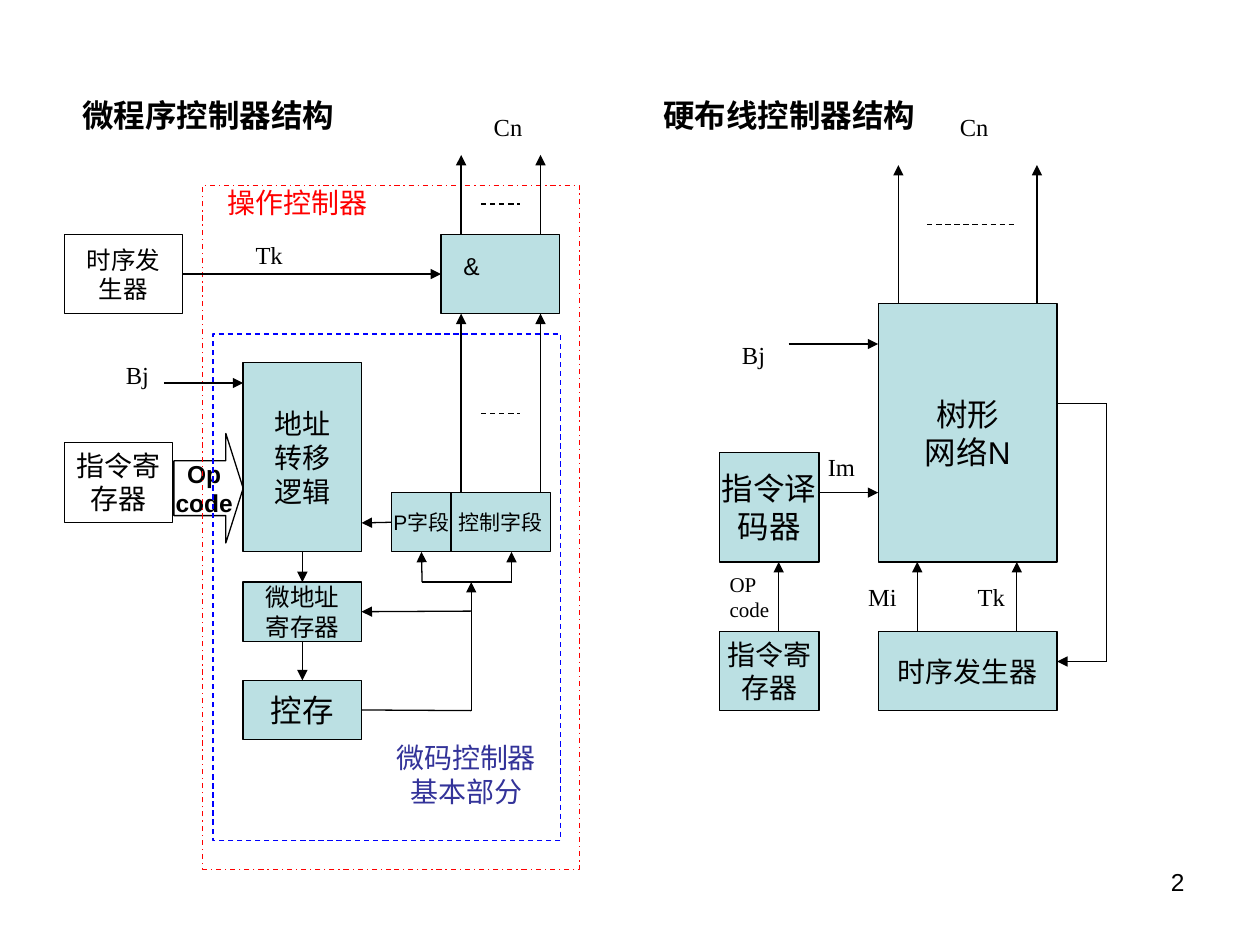
from pptx import Presentation
from pptx.dml.color import RGBColor as Rgb
from pptx.enum.dml import MSO_LINE as Dash
from pptx.enum.shapes import MSO_CONNECTOR as Conn, MSO_SHAPE as Kind
from pptx.enum.text import MSO_ANCHOR as Anchor, MSO_AUTO_SIZE as Auto, PP_ALIGN as Align
from pptx.oxml.ns import qn
from pptx.util import Inches, Pt
from lxml import etree

COLORS = {"ink": "000000", "teal": "BBE0E3", "white": "FFFFFF",
          "red": "FF0000", "blue": "0000FF", "navy": "333399"}
TOP, LEFT, BOTTOM, RIGHT = range(4)
SERIF = "Times New Roman"
FLUSH = (0, 0)
PAD = (0.1, 0.05)


def color(name):
    return Rgb.from_string(COLORS[name])


def put(item, values):
    for key, value in values.items():
        setattr(item, key, value)


class Diagram:
    def __init__(self, deck):
        self.slide = deck.slides.add_slide(deck.slide_layouts[6])
        self.shapes = self.slide.shapes
        self.font = "Arial"
        self.width = Pt(0.75)

    def stroke(self, line, tint="ink", dash=None):
        line.color.rgb = color(tint)
        line.width = self.width
        if dash:
            line.dash_style = dash

    def words(self, shape, text, size, tint="ink", font=None, bold=False,
              align=Align.CENTER, pad=PAD, frame=None, para=None):
        body = shape.text_frame
        side, edge = (Inches(v) for v in pad)
        put(body, {"margin_left": side, "margin_right": side,
                   "margin_top": edge, "margin_bottom": edge, **(frame or {})})
        for i, row in enumerate(text.split("\n")):
            item = body.paragraphs[0] if i == 0 else body.add_paragraph()
            put(item, {"alignment": align, **(para or {})})
            if i == 0:
                item.space_before = Pt(0)
            run = item.add_run()
            run.text = row
            put(run.font, {"size": Pt(size), "name": font or self.font, "bold": bold})
            run.font.color.rgb = color(tint)

    def box(self, at, text="", size=14, fill="teal", kind=Kind.RECTANGLE,
            tint="ink", dash=None, wrap=False, anchor=Anchor.MIDDLE, **style):
        shape = self.shapes.add_shape(kind, *(Inches(v) for v in at))
        shape.shadow.inherit = False
        if fill:
            shape.fill.solid()
            shape.fill.fore_color.rgb = color(fill)
        else:
            shape.fill.background()
        self.stroke(shape.line, tint, dash)
        if text:
            frame = {"word_wrap": wrap, "vertical_anchor": anchor}
            self.words(shape, text, size, frame=frame, **style)
        return shape

    def label(self, at, text, size=14, grow=True, **style):
        shape = self.shapes.add_textbox(*(Inches(v) for v in at))
        frame = {"word_wrap": True, "vertical_anchor": Anchor.TOP,
                 "auto_size": Auto.SHAPE_TO_FIT_TEXT if grow else Auto.NONE}
        self.words(shape, text, size, frame=frame, **style)

    def line(self, start, end, arrow=True, dash=None):
        """Each end is an (x, y) point or a (box, side) pair."""
        ends = [(0, 0) if hasattr(p[0], "text_frame") else p for p in (start, end)]
        link = self.shapes.add_connector(
            Conn.STRAIGHT, *(Inches(v) for p in ends for v in p))
        for point, join in ((start, link.begin_connect), (end, link.end_connect)):
            if hasattr(point[0], "text_frame"):
                join(*point)
        self.stroke(link.line, dash=dash)
        props = link._element.spPr
        if arrow:
            etree.SubElement(props.find(qn("a:ln")), qn("a:tailEnd"), type="triangle")
        etree.SubElement(props, qn("a:effectLst"))


def micro(d):
    """Microprogrammed controller, left half."""
    # Boxes
    d.box((0.51, 3.51, 0.86, 0.64), "指令寄存器", 16, None, wrap=True,
          anchor=Anchor.TOP, pad=(0.04, 0.05))
    code = d.box((1.38, 3.44, 0.55, 0.87), "Op\ncode", 14, "white",
                 Kind.RIGHT_ARROW, bold=True)
    code.adjustments[0], code.adjustments[1] = 0.5, 0.25
    logic = d.box((1.93, 2.88, 0.94, 1.5), "地址\n转移\n逻辑", 16)
    addr = d.box((1.93, 4.62, 0.94, 0.47), "微地址\n寄存器")
    store = d.box((1.93, 5.4, 0.94, 0.47), "控存", 18)
    field = d.box((3.11, 3.91, 0.47, 0.47), "P字段", 12)
    d.box((3.58, 3.91, 0.79, 0.47), "控制字段", 12)
    clock = d.box((0.51, 1.86, 0.94, 0.63), "时序发\n生器", 14, None)
    d.box((1.69, 2.65, 2.76, 4.02), fill=None, tint="blue", dash=Dash.DASH)
    gate = d.box((3.5, 1.86, 0.94, 0.63))
    d.box((1.61, 1.47, 2.99, 5.43), fill=None, tint="red", dash=Dash.DASH_DOT)

    # Address flow
    d.line((1.3, 3.04), (1.93, 3.04))
    d.line((field, LEFT), (2.87, 4.15))
    d.line((logic, BOTTOM), (addr, TOP))
    d.line((addr, BOTTOM), (store, TOP))
    d.line((store, RIGHT), (3.74, 5.64), arrow=False)
    d.line((3.74, 5.64), (3.74, 4.62))
    d.line((3.74, 4.85), (addr, RIGHT))
    d.line((3.35, 4.62), (4.06, 4.62), arrow=False)
    d.line((3.35, 4.62), (field, BOTTOM))
    d.line((4.06, 4.62), (4.06, 4.38))

    # Control outputs
    d.line((clock, RIGHT), (gate, LEFT))
    for x in (3.66, 4.29):
        d.line((x, 3.91), (x, 2.49))
        d.line((x, 1.86), (x, 1.23))
    for x, y in ((3.82, 3.28), (3.82, 1.62), (4.06, 1.86)):
        d.line((x, y), (x + 0.31, y), arrow=False, dash=Dash.DASH)

    # Labels
    d.label((3.11, 5.88, 1.18, 0.53), "微码控制器基本部分", 16, tint="navy", pad=FLUSH)
    d.label((1.69, 1.47, 1.34, 0.27), "操作控制器", 16, tint="red", pad=FLUSH)
    d.label((3.58, 1.94, 0.24, 0.34), "&", align=Align.LEFT)


def wired(d):
    """Hardwired controller, right half."""
    # Boxes
    d.box((6.97, 2.41, 1.42, 2.05), "树形\n网络N", 18)
    d.box((5.71, 3.59, 0.79, 0.87), "指令译\n码器", 18)
    d.box((5.71, 5.01, 0.79, 0.63), "指令寄\n存器", 16)
    d.box((6.97, 5.01, 1.42, 0.63), "时序发生器", 16)

    # Inputs, outputs and feedback
    for x in (6.18, 7.28, 8.07):
        d.line((x, 5.01), (x, 4.46))
    for x in (7.13, 8.23):
        d.line((x, 2.41), (x, 1.31))
    d.line((6.26, 2.73), (6.97, 2.73))
    d.line((6.5, 3.91), (6.97, 3.91))
    d.line((8.39, 3.2), (8.78, 3.2), arrow=False)
    d.line((8.78, 3.2), (8.78, 5.25), arrow=False)
    d.line((8.78, 5.25), (8.39, 5.25))
    d.line((7.36, 1.78), (8.07, 1.78), arrow=False, dash=Dash.DASH)

    # Labels
    for x, y, text in ((6.57, 3.59, "Im"), (6.89, 4.62, "Mi"), (7.76, 4.62, "Tk")):
        d.label((x, y, 0.24, 0.23), text, font=SERIF, align=Align.LEFT, pad=FLUSH)
    d.label((5.79, 4.62, 0.32, 0.3), "OP\ncode", 12, font=SERIF, align=Align.LEFT,
            pad=FLUSH, para={"line_spacing": 0.5, "space_before": Pt(7.5)})


def main():
    deck = Presentation()
    deck.slide_width, deck.slide_height = Inches(10), Inches(7.5)
    d = Diagram(deck)
    micro(d)
    wired(d)

    # Signal names, titles and page number
    for x, y, wide, text in ((1.93, 1.86, 0.47, "Tk"), (0.9, 2.81, 0.39, "Bj"),
                             (3.82, 0.84, 0.47, "Cn"), (7.52, 0.84, 0.47, "Cn"),
                             (5.79, 2.65, 0.39, "Bj")):
        d.label((x, y, wide, 0.34), text, font=SERIF, align=Align.LEFT)
    for x, wide, text in ((0.59, 2.13, "微程序控制器结构"), (5.24, 2.05, "硬布线控制器结构")):
        d.label((x, 0.76, wide, 0.3), text, 18, bold=True, pad=FLUSH)
    d.label((7.17, 6.83, 2.33, 0.52), "2", grow=False, align=Align.RIGHT)
    deck.save("out.pptx")


if __name__ == "__main__":
    main()
